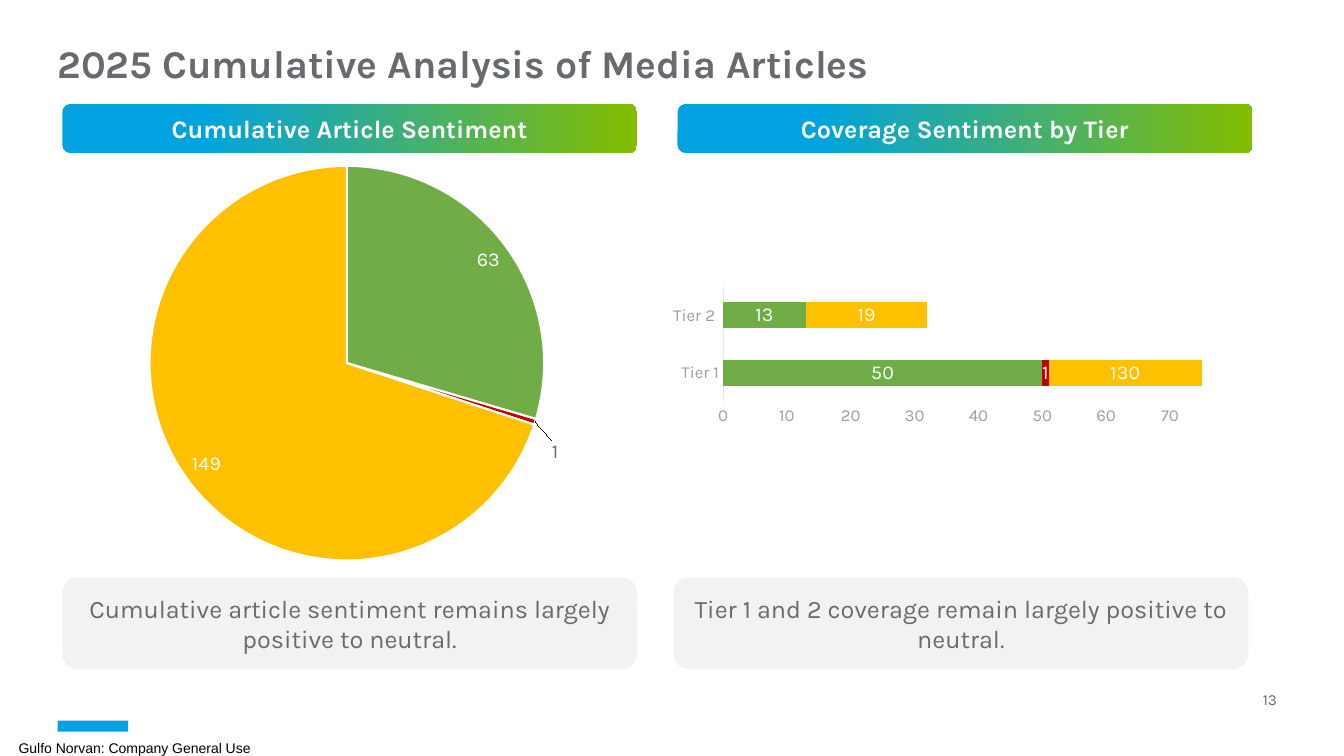
import lxml.etree
import pptx
import pptx.chart.data
import pptx.dml.color
import pptx.enum.chart
import pptx.enum.shapes
import pptx.enum.text
import pptx.oxml.ns
import pptx.util

Cm, Pt = pptx.util.Cm, pptx.util.Pt
qn = pptx.oxml.ns.qn
Kind = pptx.enum.chart.XL_CHART_TYPE
Spot = pptx.enum.chart.XL_LABEL_POSITION
Tick = pptx.enum.chart.XL_TICK_MARK
Form = pptx.enum.shapes.MSO_SHAPE
Side = pptx.enum.text.PP_ALIGN
Hold = pptx.enum.text.MSO_ANCHOR

HUES = {
    "gray": "676A6E", "pale": "9B9EA2", "rule": "E8E9E9", "box": "F2F2F2",
    "white": "FFFFFF", "black": "000000", "blue": "00A3E0", "lime": "84BD00",
    "good": "70AD47", "bad": "C00000", "even": "FFC000",
}


def hue(name):
    return pptx.dml.color.RGBColor.from_string(HUES[name])


class Deck:
    def __init__(self, font):
        self.font = font
        self.show = pptx.Presentation()
        self.show.slide_width, self.show.slide_height = Cm(33.86), Cm(19.05)
        self.slide = self.show.slides.add_slide(self.show.slide_layouts[5])

    def style(self, font, size, color, bold=False, face=None):
        font.name, font.size, font.bold = face or self.font, Pt(size), bold
        font.color.rgb = hue(color)

    def fill(self, frame, text, size, color, bold=False, face=None,
             align=Side.LEFT, anchor=Hold.MIDDLE, inset=(0, 0)):
        frame.word_wrap = True
        frame.auto_size = pptx.enum.text.MSO_AUTO_SIZE.NONE
        frame.vertical_anchor = anchor
        frame.margin_left = frame.margin_right = Cm(inset[0])
        frame.margin_top = frame.margin_bottom = Cm(inset[1])
        line = frame.paragraphs[0]
        line.alignment = align
        run = line.add_run()
        run.text = text
        self.style(run.font, size, color, bold, face)

    def title(self, text, box):
        head = self.slide.shapes.title
        head.left, head.top, head.width, head.height = map(Cm, box)
        self.fill(head.text_frame, text, 28, "gray", True,
                  anchor=Hold.TOP, inset=(0, 0.13))

    def label(self, text, box, size, color, **more):
        item = self.slide.shapes.add_textbox(*map(Cm, box))
        self.fill(item.text_frame, text, size, color, **more)

    def panel(self, box, fills, form=Form.ROUNDED_RECTANGLE):
        item = self.slide.shapes.add_shape(form, *map(Cm, box))
        item.shadow.inherit = False
        item.line.fill.background()
        if len(fills) == 1:
            item.fill.solid()
            item.fill.fore_color.rgb = hue(fills[0])
        else:
            item.fill.gradient()
            item.fill.gradient_angle = 0
            for stop, color, place in zip(item.fill.gradient_stops, fills, (0.24, 1)):
                stop.color.rgb, stop.position = hue(color), place
        return item.text_frame

    def banner(self, text, box):
        self.fill(self.panel(box, ("blue", "lime")), text, 18, "white", True,
                  align=Side.CENTER)

    def note(self, text, box):
        self.fill(self.panel(box, ("box",)), text, 18, "gray",
                  align=Side.CENTER, inset=(0.25, 0.13))

    def place(self, host, index, **parts):
        for old in host.findall(qn("c:layout")):
            host.remove(old)
        layout = lxml.etree.Element(qn("c:layout"))
        manual = lxml.etree.SubElement(layout, qn("c:manualLayout"))
        for tag, val in parts.items():
            lxml.etree.SubElement(manual, qn("c:" + tag)).set("val", str(val))
        host.insert(index, layout)

    def chart(self, kind, box, cats, rows, area):
        data = pptx.chart.data.CategoryChartData()
        data.categories = cats
        for name, vals in rows:
            data.add_series(name, vals)
        chart = self.slide.shapes.add_chart(kind, *map(Cm, box), data).chart
        chart.has_title = chart.has_legend = False
        self.style(chart.font, 10, "gray")
        self.place(chart.element.xpath("c:chart/c:plotArea")[0], 0,
                   layoutTarget="inner", xMode="edge", yMode="edge",
                   **dict(zip("xywh", area)))
        return chart

    def tags(self, series, spot):
        tags = series.data_labels
        tags.show_value, tags.position = True, spot
        self.style(tags.font, 14, "white")

    def pie(self, box, cats, row, colors, area, small):
        chart = self.chart(Kind.PIE, box, cats, [row], area)
        plot = chart.plots[0]
        plot.vary_by_categories = False
        series = plot.series[0]
        self.tags(series, Spot.INSIDE_END)
        for index, color in enumerate(colors):
            part = series.points[index].format
            part.fill.solid()
            part.fill.fore_color.rgb = hue(color)
            part.line.color.rgb, part.line.width = hue("white"), Pt(1.5)
        # Thin slice: label outside, moved off with a leader line
        tag = series.points[small].data_label
        run = tag.text_frame.paragraphs[0].add_run()
        run.text = str(row[1][small])
        self.style(run.font, 14, "gray")
        tag.position = Spot.OUTSIDE_END
        self.place(chart.element.xpath(".//c:dLbl")[0], 1, x=0.02, y=0.04)

    def bars(self, box, cats, rows, colors, area):
        chart = self.chart(Kind.BAR_STACKED, box, cats, rows, area)
        plot = chart.plots[0]
        plot.vary_by_categories = False
        plot.gap_width, plot.overlap = 124, 100
        for series, color in zip(plot.series, colors):
            series.format.fill.solid()
            series.format.fill.fore_color.rgb = hue(color)
            self.tags(series, Spot.CENTER)
        for axis in (chart.category_axis, chart.value_axis):
            axis.has_major_gridlines = False
            axis.major_tick_mark = axis.minor_tick_mark = Tick.NONE
            self.style(axis.tick_labels.font, 12, "pale")
        rule = chart.category_axis.format.line
        rule.color.rgb, rule.width = hue("rule"), Pt(0.75)
        scale = chart.value_axis
        scale.format.line.fill.background()
        scale.minimum_scale, scale.maximum_scale, scale.major_unit = 0, 75, 10


def main():
    deck = Deck("Karla")
    tints = ("good", "bad", "even")

    # Title
    deck.title("2025 Cumulative Analysis of Media Articles", (1.45, 0.86, 29.97, 2.31))

    # Banners and notes
    for text, left in (("Cumulative Article Sentiment", 1.57),
                       ("Coverage Sentiment by Tier", 17.07)):
        deck.banner(text, (left, 2.62, 14.48, 1.24))
    for text, left in (
            ("Cumulative article sentiment remains largely positive to neutral.", 1.57),
            ("Tier 1 and 2 coverage remain largely positive to neutral.", 16.97)):
        deck.note(text, (left, 14.55, 14.48, 2.31))

    # Charts
    deck.pie((1.78, 3.86, 13.92, 10.69), ("1", "2", "3"),
             ("Series 1", (63, 1, 149)), tints, (0.14, 0.03, 0.72, 0.93), 1)
    deck.bars((16.05, 6.3, 15.47, 5.11), ("Tier 1", "Tier 2 "),
              (("Positive", (50, 13)), ("Negative", (1, None)),
               ("Neutral", (130, 19))), tints, (0.14, 0.18, 0.78, 0.57))

    # Footer
    deck.panel((1.45, 18.16, 1.78, 0.28), ("blue",), Form.RECTANGLE)
    deck.label("Gulfo Norvan: Company General Use", (0.47, 18.5, 6.9, 0.69),
               10, "black", face="Arial")
    deck.label("13", (31.5, 17.3, 0.99, 0.64), 11, "gray", align=Side.CENTER)

    deck.show.save("out.pptx")


if __name__ == "__main__":
    main()
